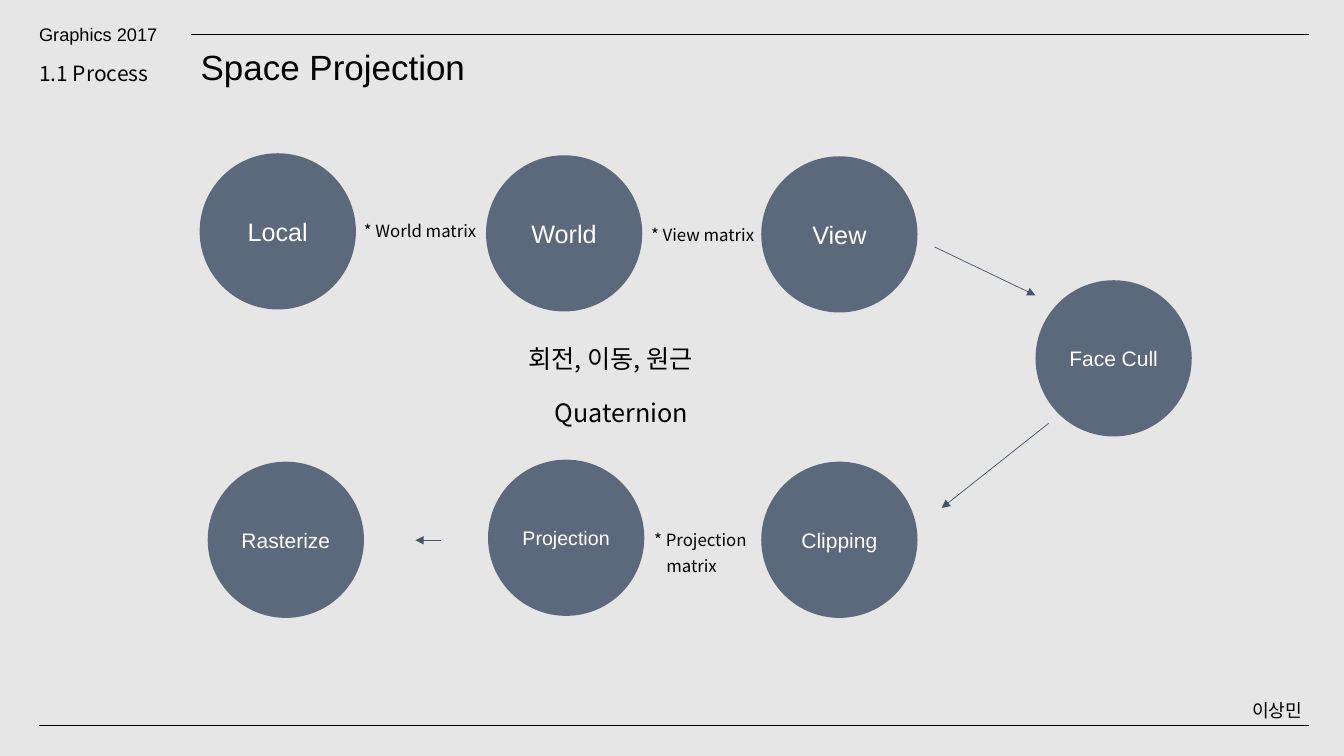
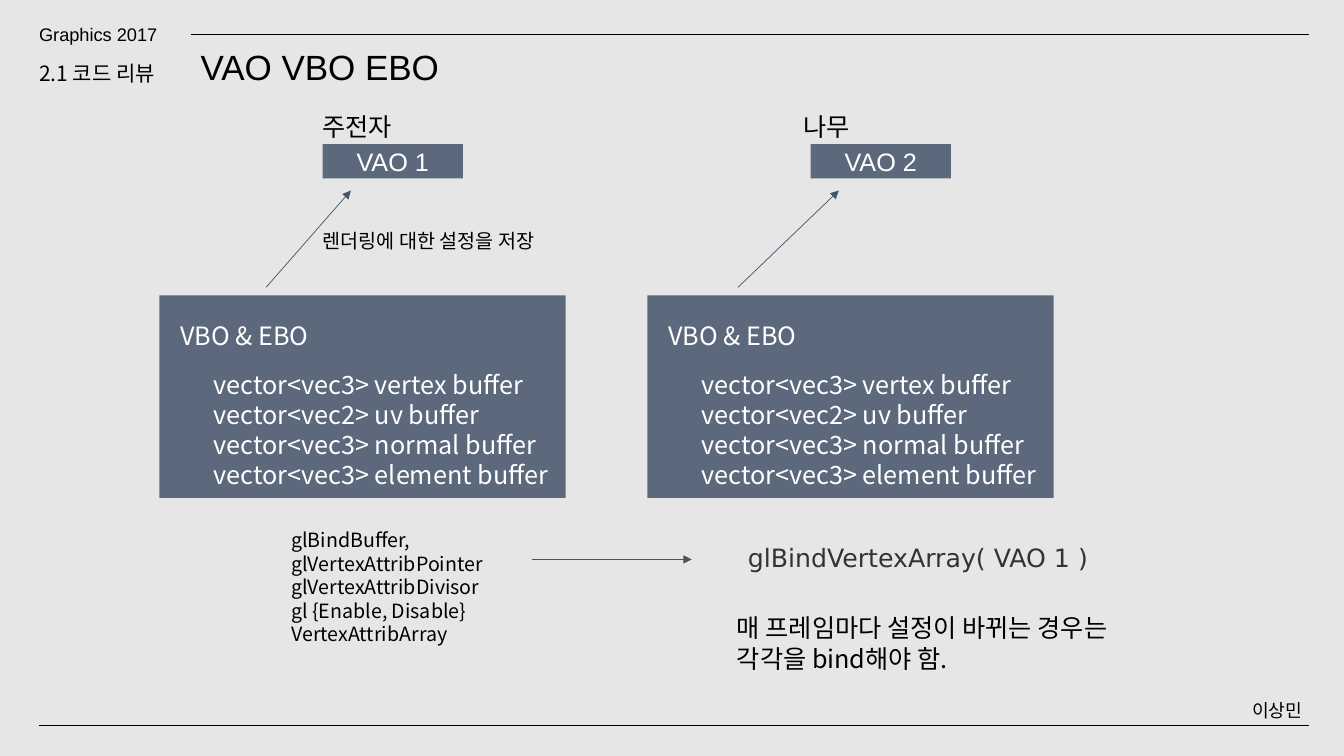
from dataclasses import dataclass

from lxml.etree import SubElement
from pptx import Presentation
from pptx.dml.color import RGBColor
from pptx.enum.shapes import MSO_CONNECTOR, MSO_SHAPE
from pptx.enum.text import MSO_ANCHOR, MSO_AUTO_SIZE, PP_ALIGN
from pptx.oxml.ns import qn
from pptx.util import Pt

EMU_PER_PX = 9144


@dataclass(frozen=True)
class Theme:
    """Colours, fonts and type sizes shared by the slides."""
    background: str = "E7E6E6"
    ink: str = "000000"
    code: str = "333333"
    slate: str = "44546A"
    white: str = "FFFFFF"
    opacity: int = 85000
    line: float = 0.5
    sans: str = "Arial"
    korean: str = "Noto Sans CJK KR"
    mono: str = "DejaVu Sans"
    leading: float = 1.2
    title: int = 25
    large: int = 18
    medium: int = 15
    small: int = 14
    running: int = 13
    note: int = 12


T = Theme()
BUFFERS = ["vector<vec3> vertex buffer", "vector<vec2> uv buffer",
           "vector<vec3> normal buffer", "vector<vec3> element buffer"]


def px(*values):
    """Turn px lengths into EMU."""
    return [v * EMU_PER_PX for v in values]


def color(value):
    """Read a hexadecimal colour."""
    return RGBColor.from_string(value)


def write(sp, lines, size, ink=T.ink, face=T.korean, align=PP_ALIGN.LEFT, anchor=MSO_ANCHOR.TOP):
    """Fill a shape with paragraphs in one style."""
    tf = sp.text_frame
    tf.text = "\n".join(lines)
    tf.word_wrap = True
    tf.auto_size = MSO_AUTO_SIZE.NONE
    tf.vertical_anchor = anchor
    for p in tf.paragraphs:
        p.alignment = align
        if sp.is_placeholder:
            pPr = p._p.get_or_add_pPr()
            pPr.set("marL", "0")
            pPr.set("indent", "0")
            SubElement(pPr, qn("a:buNone"))
        p.space_before = Pt(0)
        if face == T.korean:
            p.line_spacing = Pt(size * T.leading)
        for r in p.runs:
            r.font.size = Pt(size)
            r.font.name = face
            r.font.color.rgb = color(ink)
            SubElement(r._r.get_or_add_rPr(), qn("a:ea"), typeface=face)


def add_text(slide, box, lines, size, **style):
    """Add a text box."""
    sp = slide.shapes.add_textbox(*px(*box))
    write(sp, lines, size, **style)


def fill_placeholder(sp, box, lines, size, **style):
    """Place and fill a template placeholder in front of earlier shapes."""
    sp.left, sp.top, sp.width, sp.height = px(*box)
    write(sp, lines, size, **style)
    sp.element.getparent().append(sp.element)


def add_block(slide, kind, box, text="", size=T.large):
    """Add a translucent slate shape with an optional centred label."""
    sp = slide.shapes.add_shape(kind, *px(*box))
    sp.shadow.inherit = False
    sp.fill.solid()
    sp.fill.fore_color.rgb = color(T.slate)
    clr = sp.element.spPr.find(qn("a:solidFill"))[0]
    SubElement(clr, qn("a:alpha"), val=str(T.opacity))
    sp.line.fill.background()
    if text:
        tf = sp.text_frame
        tf.margin_left = tf.margin_right = tf.margin_top = tf.margin_bottom = 0
        write(sp, [text], size, ink=T.white, face=T.sans,
              align=PP_ALIGN.CENTER, anchor=MSO_ANCHOR.MIDDLE)


def add_line(slide, ends, ink=T.ink, arrow=False):
    """Add a thin straight line, with an arrowhead if asked."""
    c = slide.shapes.add_connector(MSO_CONNECTOR.STRAIGHT, *px(*ends))
    c.line.width = Pt(T.line)
    c.line.color.rgb = color(ink)
    spPr = c.element.spPr
    if arrow:
        SubElement(spPr.find(qn("a:ln")), qn("a:tailEnd"), type="triangle")
    SubElement(spPr, qn("a:effectLst"))


def add_slide(prs, layout, section, title):
    """Add a slide with the shared rules, header, title and author."""
    slide = prs.slides.add_slide(prs.slide_layouts.get_by_name(layout))
    add_line(slide, (189, 34, 1298, 34))
    add_line(slide, (39, 720, 1298, 720))
    add_text(slide, (29, 18, 160, 32), ["Graphics 2017"], T.running, face=T.sans)
    add_text(slide, (1232, 689, 88, 32), ["이상민"], T.running)
    add_text(slide, (29, 55, 177, 35), [section], T.medium)
    fill_placeholder(slide.shapes.title, (189, 40, 450, 52), [title], T.title, face=T.sans)
    return slide


def build_projection(prs):
    """Show the steps from local space to raster."""
    slide = add_slide(prs, "Title Only", "1.1 Process", "Space Projection")
    diameter = 155
    for left, top, text, size in [
        (198, 152, "Local", T.large), (482, 154, "World", T.large),
        (755, 155, "View", T.large), (1027, 278, "Face Cull", T.medium),
        (755, 458, "Clipping", T.medium), (484, 456, "Projection", T.small),
        (206, 458, "Rasterize", T.medium),
    ]:
        add_block(slide, MSO_SHAPE.OVAL, (left, top, diameter, diameter), text, size)
    for ends in [(927, 245, 1027, 293), (1040, 420, 934, 504), (437, 536, 412, 536)]:
        add_line(slide, ends, T.slate, arrow=True)
    for left, top, width, text in [
        (351, 214, 172, "* World matrix"), (636, 218, 172, "* View matrix"),
        (639, 521, 115, "* Projection"), (651, 546, 115, "matrix"),
    ]:
        add_text(slide, (left, top, width, 30), [text], T.note)
    add_text(slide, (514, 336, 208, 40), ["회전, 이동, 원근"], T.large)
    add_text(slide, (540, 389, 168, 40), ["Quaternion"], T.large)


def add_buffer_panel(slide, left, body, vao):
    """Add a VAO label above its panel of buffers."""
    add_block(slide, MSO_SHAPE.RECTANGLE, (left, 293, 403, 201))
    add_text(slide, (left + 11, 313, 279, 48), ["VBO & EBO"], T.large, ink=T.white)
    fill_placeholder(body, (left + 44, 361, 378, 131), BUFFERS, T.large, ink=T.white)
    add_block(slide, MSO_SHAPE.RECTANGLE, (left + 162, 143, 139, 34), vao)


def build_buffers(prs):
    """Show how each VAO keeps its buffers."""
    slide = add_slide(prs, "Two Content", "2.1 코드 리뷰", "VAO VBO EBO")
    bodies = [slide.placeholders[1], slide.placeholders[2]]
    for i, body in enumerate(bodies):
        add_buffer_panel(slide, 158 + 484 * i, body, f"VAO {i + 1}")
    for ends in [(264, 285, 348, 189), (732, 285, 832, 189), (528, 555, 686, 555)]:
        add_line(slide, ends, T.slate, arrow=True)
    add_text(slide, (310, 106, 132, 40), ["주전자"], T.large)
    add_text(slide, (787, 106, 132, 40), ["나무"], T.large)
    add_text(slide, (310, 222, 285, 34), ["렌더링에 대한 설정을 저장"], T.small)
    add_text(slide, (279, 519, 271, 128),
             ["glBindBuffer, glVertexAttribPointer glVertexAttribDivisor",
              "gl {Enable, Disable} VertexAttribArray"], T.small)
    add_text(slide, (732, 533, 377, 40), ["glBindVertexArray( VAO 1 )"], T.large,
             ink=T.code, face=T.mono)
    add_text(slide, (721, 603, 443, 71),
             ["매 프레임마다 설정이 바뀌는 경우는 각각을 bind해야 함."], T.large)


def main():
    """Build and save the presentation."""
    prs = Presentation()
    prs.slide_width, prs.slide_height = px(1333, 750)
    fill = prs.slide_master.background.fill
    fill.solid()
    fill.fore_color.rgb = color(T.background)
    build_projection(prs)
    build_buffers(prs)
    prs.save("out.pptx")


if __name__ == "__main__":
    main()
